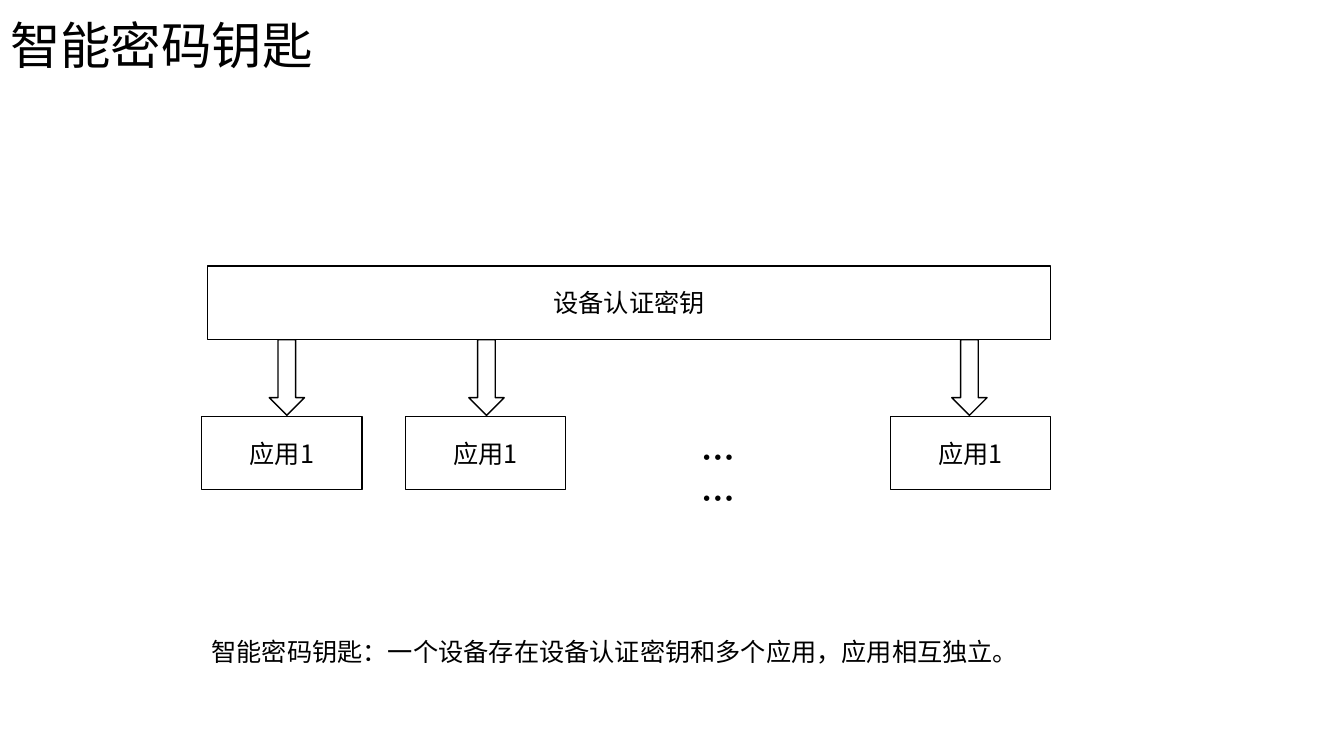
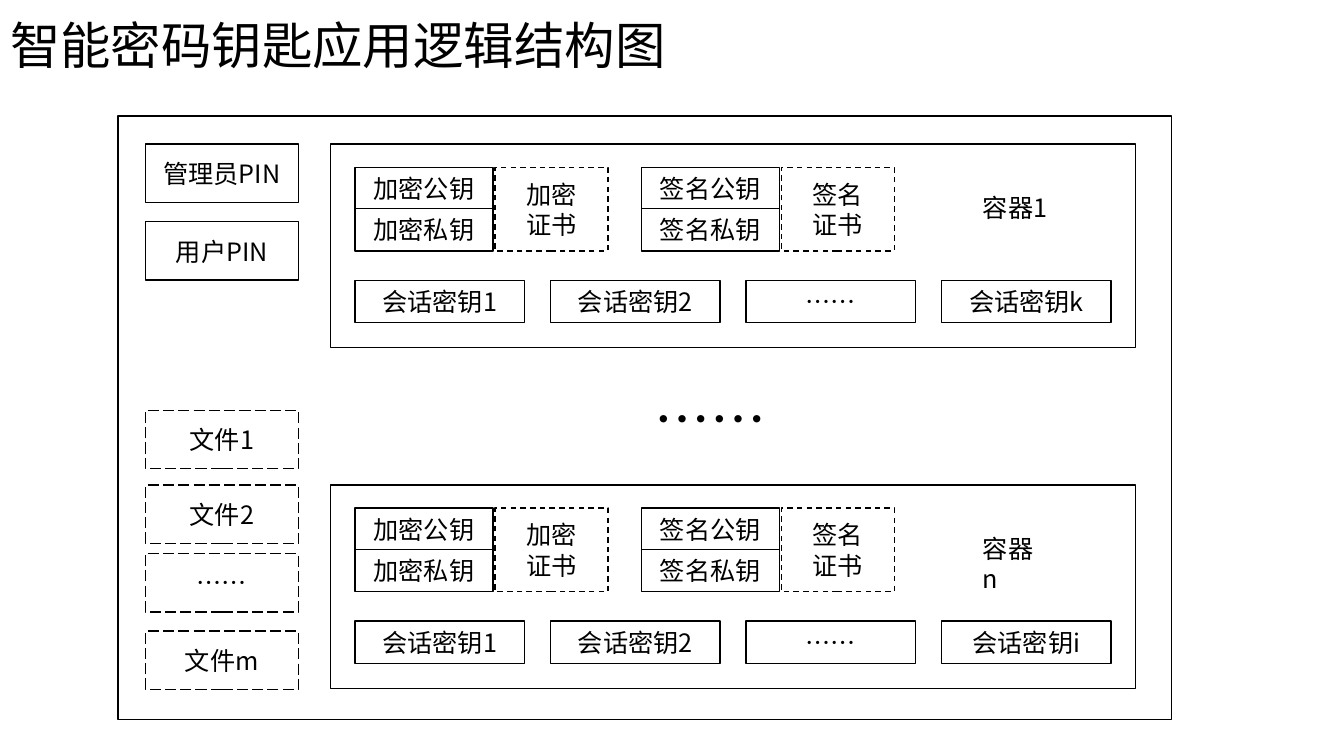
from pptx import Presentation, util as u
from pptx.dml.color import RGBColor
from pptx.enum import dml, lang, shapes, text
from pptx.oxml import parse_xml
from pptx.oxml.ns import nsdecls

PX = 9144
FONT = "Noto Sans CJK SC"
BLACK, WHITE = "000000", "FFFFFF"
SOLID = dml.MSO_LINE.SOLID
DASH = dml.MSO_LINE.DASH
LONG_DASH = dml.MSO_LINE.LONG_DASH
LEFT, CENTER = text.PP_ALIGN.LEFT, text.PP_ALIGN.CENTER
TOP, MIDDLE = text.MSO_ANCHOR.TOP, text.MSO_ANCHOR.MIDDLE


def px(*lengths):
    """Turn pixel lengths into EMU."""
    return [u.Emu(length * PX) for length in lengths]


def color(value):
    """Turn a hex string into a colour."""
    return RGBColor.from_string(value)


def set_all(target, values):
    """Set every attribute named in a dict."""
    for name, value in values.items():
        setattr(target, name, value)


def write(shape, words, size=18, bold=False, align=CENTER, anchor=MIDDLE, spacing=1.0):
    """Write one paragraph for each line of words."""
    frame = shape.text_frame
    set_all(frame, {"word_wrap": True, "auto_size": text.MSO_AUTO_SIZE.NONE,
                    "vertical_anchor": anchor})
    for index, line in enumerate(words.split("\n")):
        para = frame.add_paragraph() if index else frame.paragraphs[0]
        set_all(para, {"alignment": align, "line_spacing": spacing})
        span = para.add_run()
        span.text = line
        set_all(span.font, {"name": FONT, "size": u.Pt(size), "bold": bold,
                            "language_id": lang.MSO_LANGUAGE_ID.SIMPLIFIED_CHINESE})
        span.font.color.rgb = color(BLACK)
        east_asian = parse_xml(f'<a:ea {nsdecls("a")} typeface="{FONT}"/>')
        span.font._element.find("{*}latin").addnext(east_asian)


def add_outline(page, kind, at, dash=SOLID):
    """Add a white shape with a thin black outline."""
    shape = page.shapes.add_shape(kind, *px(*at))
    shape.shadow.inherit = False
    shape.fill.solid()
    shape.fill.fore_color.rgb = color(WHITE)
    shape.line.color.rgb = color(BLACK)
    set_all(shape.line, {"width": u.Pt(1), "dash_style": dash})
    return shape


def add_box(page, at, words="", dash=SOLID):
    """Add an outlined rectangle with centred words."""
    box = add_outline(page, shapes.MSO_SHAPE.RECTANGLE, at, dash)
    if words:
        write(box, words)


def add_label(page, at, words, size=18, bold=False, align=LEFT):
    """Add words without an outline."""
    write(page.shapes.add_textbox(*px(*at)), words, size, bold, align, TOP)


def add_page(deck, title):
    """Add a slide with its title at the top left."""
    page = deck.slides.add_slide(deck.slide_layouts[5])
    heading = page.shapes.title
    left, top, width, height = px(0, 1, 1150, 94)
    set_all(heading, {"left": left, "top": top, "width": width, "height": height})
    write(heading, title, size=36, align=LEFT, spacing=0.9)
    return page


def add_container(page, top, number, last_key):
    """Add a container with key pairs, certificates and session keys."""
    add_box(page, (328, top, 798, 202))
    for left, purpose in ((352, "加密"), (636, "签名")):
        for row, kind in enumerate(("公钥", "私钥")):
            add_box(page, (left, top + 23 + 41 * row, 137, 42), purpose + kind)
        add_box(page, (left + 139, top + 23, 112, 83), f"{purpose}\n证书", DASH)
    session_keys = ("会话密钥1", "会话密钥2", "……", f"会话密钥{last_key}")
    for column, words in enumerate(session_keys):
        add_box(page, (352 + 194 * column, top + 135, 168, 42), words)
    add_label(page, (965, top + 43, 84, 40), f"容器{number}")


def build_device_page(deck):
    """Show the device key above its applications."""
    page = add_page(deck, "智能密码钥匙")
    add_box(page, (206, 264, 836, 73), "设备认证密钥")
    for box_left, arrow_left in ((200, 267), (402, 465), (883, 944)):
        add_box(page, (box_left, 413, 159, 73), "应用1")
        add_outline(page, shapes.MSO_SHAPE.DOWN_ARROW, (arrow_left, 337, 35, 75))
    add_label(page, (686, 429, 75, 50), "……", size=24, bold=True)
    add_label(page, (200, 626, 840, 40),
              "智能密码钥匙：一个设备存在设备认证密钥和多个应用，应用相互独立。")


def build_structure_page(deck):
    """Show PINs, files and containers inside one application."""
    page = add_page(deck, "智能密码钥匙应用逻辑结构图")
    add_box(page, (117, 115, 1045, 599))
    side_boxes = (
        (143, "管理员PIN", SOLID), (220, "用户PIN", SOLID),
        (407, "文件1", LONG_DASH), (481, "文件2", LONG_DASH),
        (549, "……", LONG_DASH), (626, "文件m", LONG_DASH),
    )
    for top, words, dash in side_boxes:
        add_box(page, (144, top, 152, 58), words, dash)
    add_container(page, 143, "1", "k")
    add_container(page, 481, "n", "i")
    add_label(page, (371, 377, 667, 77), "……", size=40, align=CENTER)


def main():
    """Build and save the deck."""
    deck = Presentation()
    deck.slide_width, deck.slide_height = px(1333, 750)
    build_device_page(deck)
    build_structure_page(deck)
    deck.save("out.pptx")


if __name__ == "__main__":
    main()
